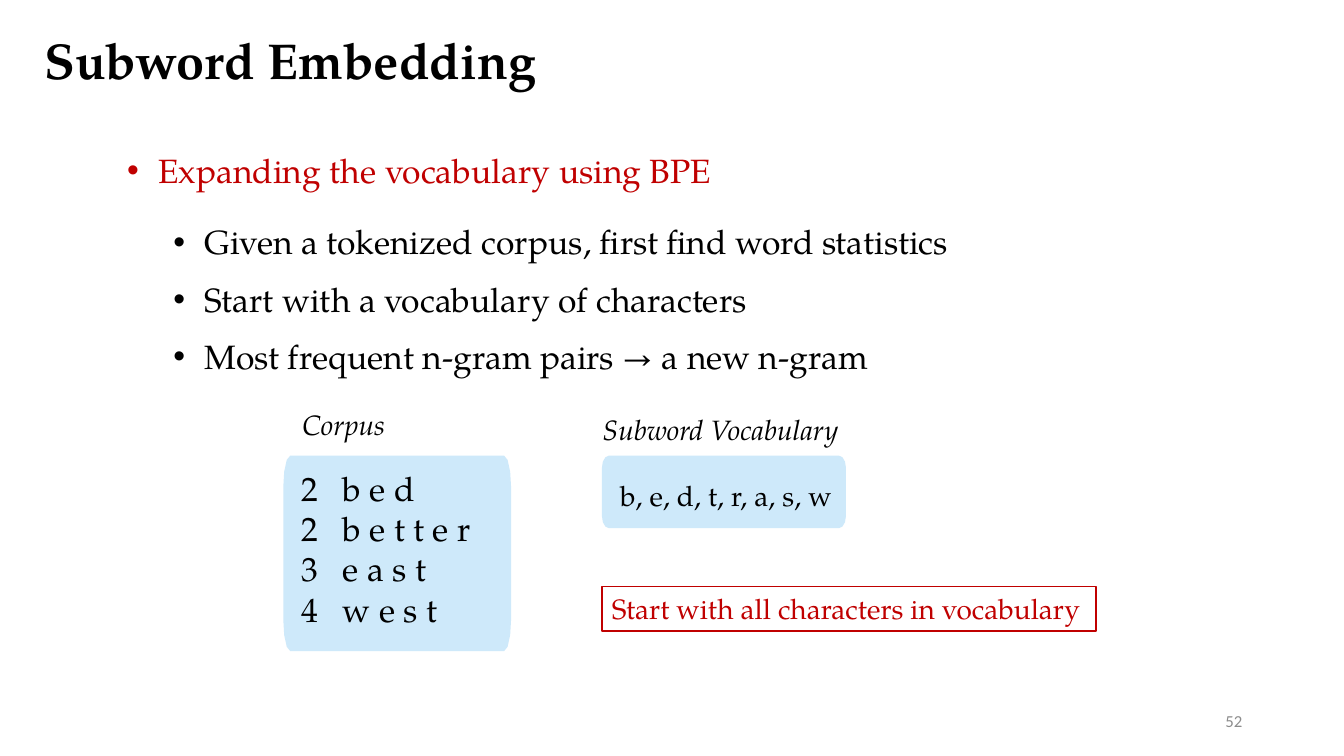
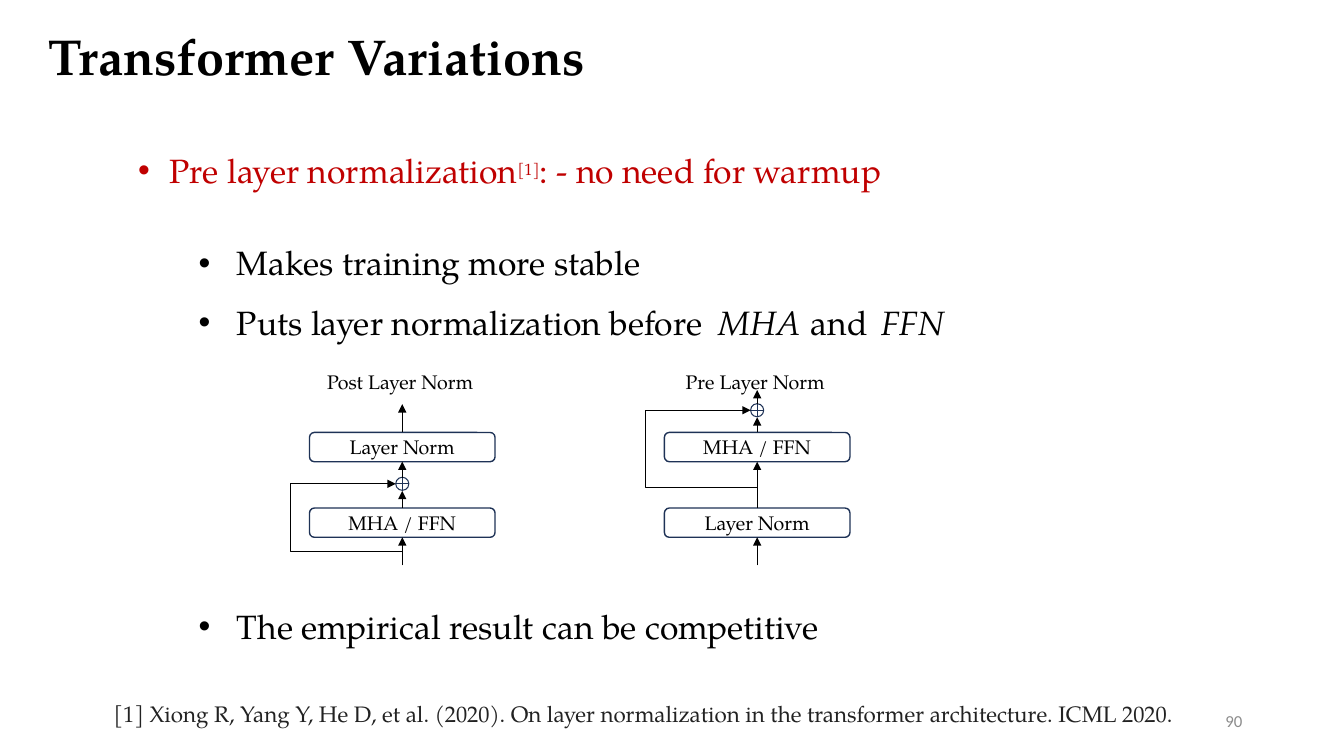
from math import cos, pi, sin

from lxml.etree import SubElement
from pptx import Presentation
from pptx.dml.color import RGBColor
from pptx.enum.shapes import MSO_CONNECTOR, MSO_SHAPE
from pptx.enum.text import MSO_ANCHOR, MSO_AUTO_SIZE, PP_ALIGN
from pptx.oxml.ns import qn
from pptx.util import Inches, Pt

BLACK = RGBColor(0x00, 0x00, 0x00)
WHITE = RGBColor(0xFF, 0xFF, 0xFF)
RED = RGBColor(0xC0, 0x00, 0x00)
NAVY = RGBColor(0x1E, 0x32, 0x56)
PALE_BLUE = RGBColor(0xCE, 0xE9, 0xFA)
GREY = RGBColor(0x8C, 0x8C, 0x8C)
DARK_GREY = RGBColor(0x22, 0x22, 0x22)
SERIF = "TeX Gyre Pagella"
SANS = "Calibri"


class Deck:
    """Shared style and the slide being built."""

    def __init__(self):
        self.prs = Presentation()
        self.prs.slide_width, self.prs.slide_height = Inches(13.33), Inches(7.5)
        self.s = None

    # --- formatting helpers ---
    def format_run(self, r, size, color=BLACK, font=SERIF, bold=False, italic=False):
        r.font.name, r.font.size = font, Pt(size)
        r.font.bold, r.font.italic = bold, italic
        r.font.color.rgb = color

    def place(self, sp, x, y, w, h):
        sp.left, sp.top, sp.width, sp.height = (Inches(v) for v in (x, y, w, h))

    def set_tabs(self, p, stops):
        tabs = SubElement(p._p.get_or_add_pPr(), qn("a:tabLst"))
        for stop in stops:
            SubElement(tabs, qn("a:tab"), pos=str(Inches(stop)), algn="l")

    def fill_text(self, sp, text, size, align=PP_ALIGN.LEFT, anchor=MSO_ANCHOR.TOP,
                  wrap=True, tabs=(), **style):
        tf = sp.text_frame
        tf.text = text
        tf.word_wrap, tf.auto_size = wrap, MSO_AUTO_SIZE.NONE
        tf.vertical_anchor = anchor
        for p in tf.paragraphs:
            p.alignment = align
            if tabs:
                self.set_tabs(p, tabs)
            for r in p.runs:
                self.format_run(r, size, **style)

    def paint(self, sp, fill=None, line=None, width=1):
        sp.shadow.inherit = False
        if fill is None:
            sp.fill.background()
        else:
            sp.fill.solid()
            sp.fill.fore_color.rgb = fill
        if line is None:
            sp.line.fill.background()
        else:
            sp.line.color.rgb, sp.line.width = line, Pt(width)

    def add_arrowhead(self, sp):
        SubElement(sp.line._get_or_add_ln(), qn("a:tailEnd"), type="triangle")

    # --- slide frame ---
    def new_slide(self, title, number, x, y):
        self.s = self.prs.slides.add_slide(self.prs.slide_layouts[1])
        self.place(self.s.shapes.title, x, y, 8.74, 0.71)
        self.fill_text(self.s.shapes.title, title, 36, bold=True)
        self.text(9.42, 6.95, 3, 0.4, number, 12, align=PP_ALIGN.RIGHT,
                  anchor=MSO_ANCHOR.MIDDLE, font=SANS, color=GREY)

    # --- bulleted list: items are (level, space before, runs) ---
    def bullets(self, x, y, w, h, items, sub_margin, sub_hang, tabs=()):
        body = self.s.placeholders[1]
        self.place(body, x, y, w, h)
        tf = body.text_frame
        tf.auto_size = MSO_AUTO_SIZE.NONE
        for i, (level, before, runs) in enumerate(items):
            p = tf.paragraphs[0] if i == 0 else tf.add_paragraph()
            p.level = level
            p.space_before, p.space_after = Pt(before), Pt(0)
            margin, hang = (sub_margin, sub_hang) if level else (0.31, 0.31)
            pPr = p._p.get_or_add_pPr()
            pPr.set("marL", str(Inches(margin)))
            pPr.set("indent", str(-Inches(hang)))
            SubElement(pPr, qn("a:buFont"), typeface="Arial")
            SubElement(pPr, qn("a:buChar"), char="•")
            if tabs and level:
                self.set_tabs(p, tabs)
            for text, kind in runs:
                r = p.add_run()
                r.text = text
                self.format_run(r, 20 if kind == "super" else 24,
                                color=BLACK if level else RED, italic=kind == "math")
                if kind == "super":
                    r._r.get_or_add_rPr().set("baseline", "30000")

    # --- free text and boxes ---
    def text(self, x, y, w, h, text, size, **style):
        sp = self.s.shapes.add_textbox(*(Inches(v) for v in (x, y, w, h)))
        self.fill_text(sp, text, size, **style)

    def shape(self, kind, x, y, w, h, fill=None, line=None, width=1):
        sp = self.s.shapes.add_shape(kind, *(Inches(v) for v in (x, y, w, h)))
        self.paint(sp, fill, line, width)
        return sp

    def outline(self, points, close):
        pts = [(Inches(x), Inches(y)) for x, y in points]
        builder = self.s.shapes.build_freeform(*pts[0])
        builder.add_line_segments(pts[1:], close=close)
        return builder.convert_to_shape()

    def panel(self, x, y, w, h, rx, ry, text, size, inset_top, **style):
        """Pale panel whose corners are quarter ellipses rx by ry."""
        centres = ((x + w - rx, y + h - ry), (x + rx, y + h - ry),
                   (x + rx, y + ry), (x + w - rx, y + ry))
        points = []
        for quarter, (cx, cy) in enumerate(centres):
            for step in range(4):
                a = (quarter + step / 3) * pi / 2
                points.append((cx + rx * cos(a), cy + ry * sin(a)))
        sp = self.outline(points, close=True)
        self.paint(sp, PALE_BLUE)
        self.fill_text(sp, text, size, **style)
        tf = sp.text_frame
        tf.margin_left, tf.margin_top = Inches(0.18), Inches(inset_top)
        tf.margin_right = tf.margin_bottom = 0

    # --- layer diagram ---
    def arrow(self, x, y_from, y_to):
        cn = self.s.shapes.add_connector(
            MSO_CONNECTOR.STRAIGHT, Inches(x), Inches(y_from), Inches(x), Inches(y_to))
        cn.line.color.rgb, cn.line.width = BLACK, Pt(0.75)
        self.add_arrowhead(cn)
        SubElement(cn._element.spPr, qn("a:effectLst"))

    def layer_stack(self, cx, caption, layers, plus_y, branch_y, arrows):
        self.text(cx - 0.86, 3.62, 1.68, 0.34, caption, 14,
                  align=PP_ALIGN.CENTER, wrap=False)
        for y, name in zip((4.29, 5.04), layers):
            box = self.shape(MSO_SHAPE.ROUNDED_RECTANGLE, cx - 0.92, y, 1.84, 0.29,
                             WHITE, NAVY)
            self.fill_text(box, name, 14, align=PP_ALIGN.CENTER,
                           anchor=MSO_ANCHOR.MIDDLE)
        d = 0.13
        self.shape(MSO_SHAPE.FLOWCHART_OR, cx - d / 2, plus_y - d / 2, d, d,
                   WHITE, NAVY, 0.75)
        for y_from, y_to in arrows:
            self.arrow(cx, y_from, y_to)
        # Residual path around the lower part of the stack
        left = cx - 1.11
        branch = self.outline([(cx, branch_y), (left, branch_y), (left, plus_y),
                               (cx - d / 2, plus_y)], close=False)
        self.paint(branch, line=BLACK, width=0.75)
        self.add_arrowhead(branch)


def subword_slide(deck):
    deck.new_slide("Subword Embedding", "52", 0.34, 0.24)
    deck.bullets(1.16, 1.44, 8.77, 2.4, [
        (0, 0, [("Expanding the vocabulary using BPE", "")]),
        (1, 22, [("Given a tokenized corpus, first find word statistics", "")]),
        (1, 12, [("Start with a vocabulary of characters", "")]),
        (1, 12, [("Most frequent n-gram pairs → a new n-gram", "")]),
    ], sub_margin=0.77, sub_hang=0.31)

    # Corpus and vocabulary panels
    deck.text(2.9, 3.99, 1.03, 0.44, "Corpus", 20, italic=True, wrap=False)
    deck.text(5.88, 4.04, 2.6, 0.44, "Subword Vocabulary", 20, italic=True, wrap=False)
    deck.panel(2.81, 4.52, 2.26, 1.94, 0.07, 0.32,
               "2\tb e d\n2\tb e t t e r\n3\te a s t\n4\tw e s t", 24, 0.12, tabs=[0.41])
    deck.panel(5.97, 4.52, 2.42, 0.72, 0.07, 0.12, "b, e, d, t, r, a, s, w", 20, 0.07,
               anchor=MSO_ANCHOR.MIDDLE, wrap=False)

    # Remark
    note = deck.shape(MSO_SHAPE.RECTANGLE, 5.97, 5.82, 4.9, 0.44, line=RED)
    deck.fill_text(note, "Start with all characters in vocabulary", 20, color=RED,
                   wrap=False)


def transformer_slide(deck):
    deck.new_slide("Transformer Variations", "90", 0.38, 0.2)
    deck.bullets(1.27, 1.44, 10.29, 5.3, [
        (0, 0, [("Pre layer normalization", ""), ("[1]", "super"),
                (": - no need for warmup", "")]),
        (1, 37, [("Makes training more stable", "")]),
        (1, 14, [("Puts layer normalization before\t", ""), ("MHA", "math"),
                 ("\tand\t", ""), ("FFN", "math")]),
        (1, 188, [("The empirical result can be competitive", "")]),
    ], sub_margin=0.98, sub_hang=0.38, tabs=(5.76, 6.67, 7.37))

    # Two orders of the same layers
    deck.layer_stack(3.99, "Post Layer Norm", ("Layer Norm", "MHA / FFN"), 4.8, 5.47,
                     [(5.61, 5.33), (5.04, 4.87), (4.74, 4.58), (4.29, 4.01)])
    deck.layer_stack(7.51, "Pre Layer Norm", ("MHA / FFN", "Layer Norm"), 4.07, 4.84,
                     [(5.61, 5.33), (5.04, 4.58), (4.29, 4.14), (4.01, 3.87)])

    # Reference
    deck.text(1.03, 6.9, 10.93, 0.37,
              "[1] Xiong R, Yang Y, He D, et al. (2020). On layer normalization in the "
              "transformer architecture. ICML 2020.", 16, color=DARK_GREY)


def main():
    deck = Deck()
    subword_slide(deck)
    transformer_slide(deck)
    deck.prs.save("out.pptx")


if __name__ == "__main__":
    main()
